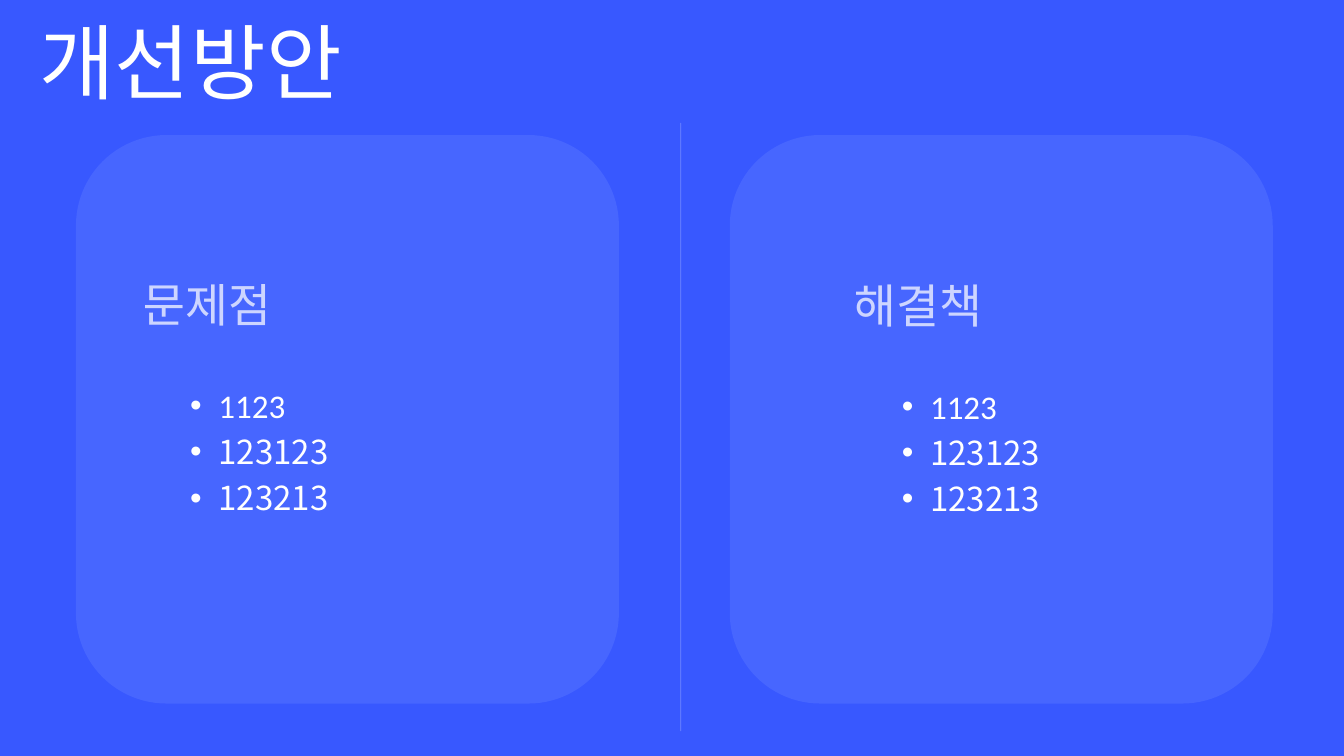
from lxml import etree
from pptx import Presentation
from pptx.dml.color import RGBColor
from pptx.enum import shapes, text
from pptx.oxml import ns
from pptx.util import Inches, Pt

# Content
TITLE = "개선방안"
BULLETS = [("1123", "Calibri"), ("123123", "Noto Sans CJK KR"), ("123213", "Noto Sans CJK KR")]
# heading, card left, heading position, list position
PANELS = [
    ("문제점", 1.13, (2.03, 4.06), (2.41, 5.64)),
    ("해결책", 10.86, (12.61, 4.07), (13, 5.65)),
]

BLUE = RGBColor(0x38, 0x58, 0xFF)
CARD_BLUE = RGBColor(0x47, 0x66, 0xFF)
WHITE = RGBColor(0xFF, 0xFF, 0xFF)


def add_child(parent, tag, **attributes):
    return etree.SubElement(parent, ns.qn(tag), attributes)


def set_opacity(fill, percent):
    color = fill._xPr.find(".//" + ns.qn("a:srgbClr"))
    add_child(color, "a:alpha", val=str(percent * 1000))


def add_run(paragraph, words, size, font="Calibri"):
    run = paragraph.add_run()
    run.text = words
    run.font.size = Pt(size)
    run.font.name = font
    run.font.fill.solid()
    run.font.fill.fore_color.rgb = WHITE
    return run


def format_frame(frame, margin=None):
    frame.word_wrap = True
    frame.auto_size = text.MSO_AUTO_SIZE.SHAPE_TO_FIT_TEXT
    frame.vertical_anchor = text.MSO_ANCHOR.TOP
    if margin is not None:
        frame.margin_left = frame.margin_right = Inches(margin)
        frame.margin_top = frame.margin_bottom = Inches(margin)


def add_text_box(slide, position, width, height, margin=None):
    left, top = position
    box = slide.shapes.add_textbox(Inches(left), Inches(top), Inches(width), Inches(height))
    format_frame(box.text_frame, margin)
    return box.text_frame


def add_card(slide, left):
    card = slide.shapes.add_shape(shapes.MSO_SHAPE.ROUNDED_RECTANGLE,
                                  Inches(left), Inches(2.01), Inches(8.08), Inches(8.46))
    card.shadow.inherit = False
    card.fill.solid()
    card.fill.fore_color.rgb = CARD_BLUE
    card.line.fill.background()


def add_bullets(frame):
    for index, (words, font) in enumerate(BULLETS):
        paragraph = frame.paragraphs[0] if index == 0 else frame.add_paragraph()
        paragraph.level = 1
        paragraph.line_spacing = Pt(49.5)
        properties = paragraph._p.get_or_add_pPr()
        properties.set("marL", str(Inches(0.84)))
        properties.set("indent", str(Inches(-0.42)))
        add_child(properties, "a:buFont", typeface="Arial")
        add_child(properties, "a:buChar", char="•")
        add_run(paragraph, words, 35.4, font)


def main():
    presentation = Presentation()
    presentation.slide_width = Inches(20)
    presentation.slide_height = Inches(11.25)
    slide = presentation.slides.add_slide(presentation.slide_layouts[5])
    slide.background.fill.solid()
    slide.background.fill.fore_color.rgb = BLUE

    # Title
    title = slide.shapes.title
    title.left, title.top = Inches(-1.88), Inches(0.04)
    title.width, title.height = Inches(9.43), Inches(1.6)
    format_frame(title.text_frame, 0)
    paragraph = title.text_frame.paragraphs[0]
    paragraph.alignment = text.PP_ALIGN.CENTER
    paragraph.line_spacing = Pt(114.4)
    add_run(paragraph, TITLE, 88)

    # Panels: card, heading and list
    for heading, card_left, heading_position, list_position in PANELS:
        add_card(slide, card_left)
        add_bullets(add_text_box(slide, list_position, 6.47, 2.74, margin=0))
        heading_frame = add_text_box(slide, heading_position, 3.33, 0.94)
        run = add_run(heading_frame.paragraphs[0], heading, 50)
        set_opacity(run.font.fill, 73)

    # Divider
    divider = slide.shapes.add_connector(shapes.MSO_CONNECTOR.STRAIGHT, Inches(10.13),
                                         Inches(10.88), Inches(10.13), Inches(1.83))
    divider.line.width = Pt(0.75)
    divider.line.fill.solid()
    divider.line.fill.fore_color.rgb = WHITE
    set_opacity(divider.line.fill, 30)
    add_child(divider._element.spPr, "a:effectLst")

    presentation.save("out.pptx")


if __name__ == "__main__":
    main()
